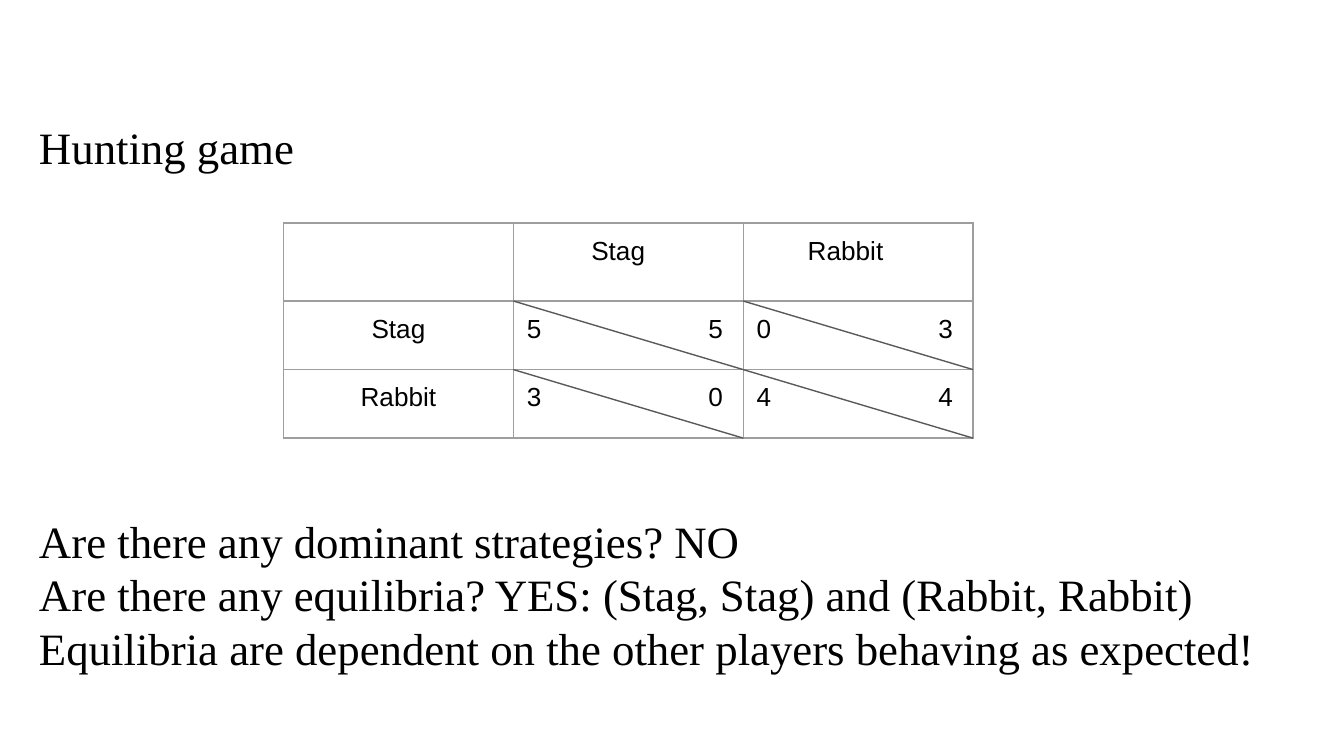
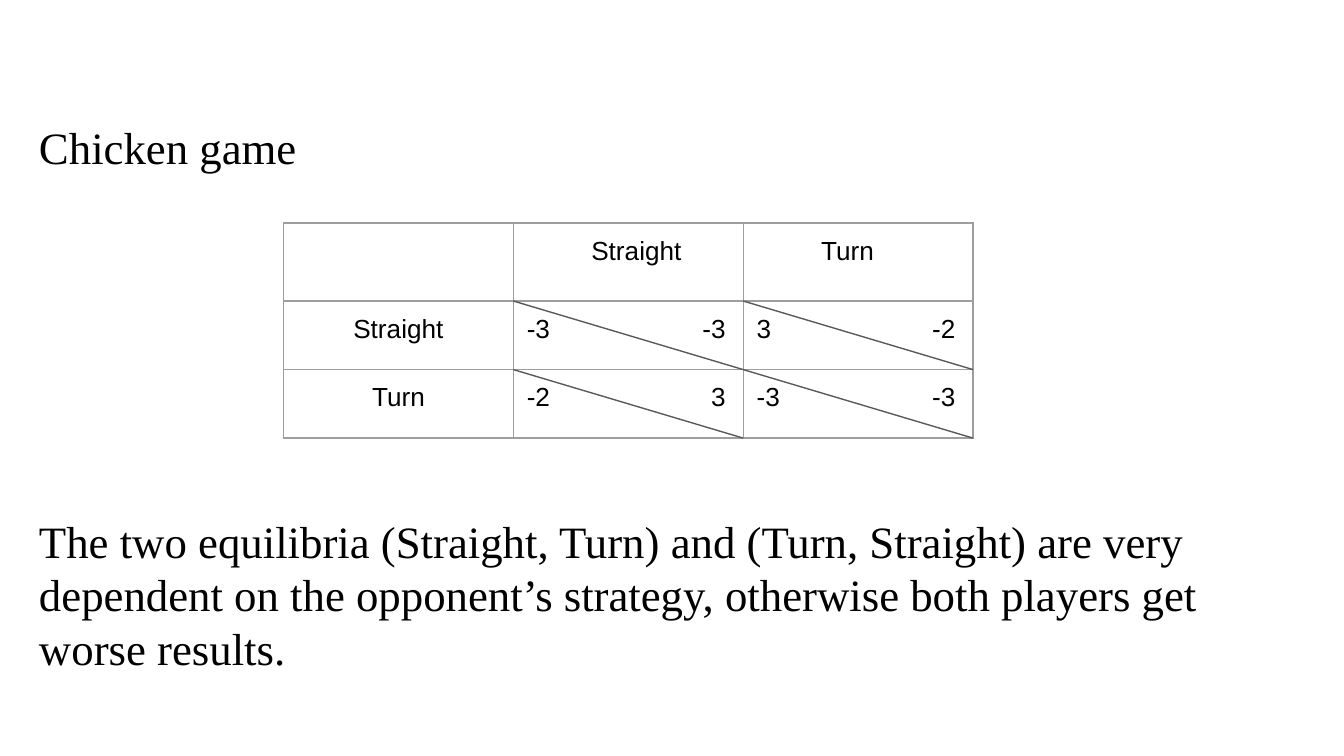
from dataclasses import dataclass

from lxml import etree
from pptx import Presentation
from pptx.dml.color import RGBColor
from pptx.enum.shapes import MSO_CONNECTOR
from pptx.enum.text import MSO_ANCHOR, MSO_AUTO_SIZE, PP_ALIGN
from pptx.oxml import parse_xml
from pptx.oxml.ns import nsdecls, qn
from pptx.util import Inches, Pt

LEFT, CENTER = PP_ALIGN.LEFT, PP_ALIGN.CENTER
TOP = MSO_ANCHOR.TOP
NO_AUTOFIT = MSO_AUTO_SIZE.NONE
STRAIGHT = MSO_CONNECTOR.STRAIGHT


@dataclass(frozen=True)
class Theme:
    """Colours, fonts and sizes shared by the slides."""
    ink: str = "000000"
    grid: str = "9E9E9E"
    diagonal: str = "595959"
    prose_font: str = "Times New Roman"
    table_font: str = "Arial"
    prose_size: float = 24
    table_size: float = 14
    rule: float = 0.75
    leading: float = 1.0
    inset: float = 0.1


THEME = Theme()
TITLE_BOX = (0.19, 0.79, 9.46, 0.6)
MATRIX_BOX = (2.11, 1.66, 5.13, 1.6)
NOTES_BOX = (0.19, 3.72, 9.46, 1.79)
HEADER_HEIGHT = 0.58

GAMES = [
    {
        "title": "Hunting game",
        "moves": ["Stag", "Rabbit"],
        "header_indents": [0.48, 0.38],
        "payoff_tab": 1.46,
        "payoffs": [[("5", "5"), ("0", "3")], [("3", "0"), ("4", "4")]],
        "notes": [
            "Are there any dominant strategies? NO",
            "Are there any equilibria? YES: (Stag, Stag) and (Rabbit, Rabbit)",
            "Equilibria are dependent on the other players behaving as expected!",
        ],
    },
    {
        "title": "Chicken game",
        "moves": ["Straight", "Turn"],
        "header_indents": [0.48, 0.48],
        "payoff_tab": 1.48,
        "payoffs": [[("-3", "-3"), ("3", "-2")], [("-2", "3"), ("-3", "-3")]],
        "notes": [
            "The two equilibria (Straight, Turn) and (Turn, Straight) are very "
            "dependent on the opponent’s strategy, otherwise both players get "
            "worse results.",
        ],
    },
]


def set_font(paragraph, family, size):
    """Give a paragraph its font, size and the ink colour."""
    paragraph.font.name = family
    paragraph.font.size = Pt(size)
    paragraph.font.color.rgb = RGBColor.from_string(THEME.ink)


def fill_prose(placeholder, box, lines):
    """Move a placeholder to the box and set its lines as plain prose."""
    placeholder.left, placeholder.top, placeholder.width, placeholder.height = map(Inches, box)
    frame = placeholder.text_frame
    frame.word_wrap = True
    frame.auto_size = NO_AUTOFIT
    frame.vertical_anchor = TOP
    frame.margin_left = frame.margin_right = Inches(THEME.inset)
    frame.margin_top = frame.margin_bottom = Inches(THEME.inset)
    frame.text = "\n".join(lines)
    for paragraph in frame.paragraphs:
        properties = paragraph._p.get_or_add_pPr()
        properties.set("marL", "0")
        properties.set("indent", "0")
        etree.SubElement(properties, qn("a:buNone"))
        paragraph.alignment = LEFT
        paragraph.space_before = Pt(0)
        paragraph.line_spacing = THEME.leading
        set_font(paragraph, THEME.prose_font, THEME.prose_size)


def style_cell(cell):
    """Clear a cell's fill, set its margins and draw its four borders."""
    cell.margin_left = cell.margin_right = Inches(THEME.inset)
    cell.margin_top = cell.margin_bottom = Inches(THEME.inset)
    cell.fill.background()
    properties = cell._tc.get_or_add_tcPr()
    for position, side in enumerate(("lnL", "lnR", "lnT", "lnB")):
        properties.insert(position, parse_xml(
            f'<a:{side} {nsdecls("a")} w="{Pt(THEME.rule)}"><a:solidFill>'
            f'<a:srgbClr val="{THEME.grid}"/></a:solidFill></a:{side}>'))


def write_cell(cell, text, alignment=LEFT, indent=0, tab=None):
    """Write one line in a cell, with an optional indent and right tab."""
    cell.text = text
    paragraph = cell.text_frame.paragraphs[0]
    paragraph.alignment = alignment
    properties = paragraph._p.get_or_add_pPr()
    properties.set("marL", str(Inches(indent)))
    if tab is not None:
        stops = etree.SubElement(properties, qn("a:tabLst"))
        etree.SubElement(stops, qn("a:tab"), pos=str(Inches(tab)), algn="r")
    set_font(paragraph, THEME.table_font, THEME.table_size)


def add_diagonal(slide, left, top, width, height):
    """Split a payoff cell from its top left to its bottom right corner."""
    diagonal = slide.shapes.add_connector(
        STRAIGHT, Inches(left), Inches(top), Inches(left + width), Inches(top + height))
    diagonal.line.color.rgb = RGBColor.from_string(THEME.diagonal)
    diagonal.line.width = Pt(THEME.rule)
    etree.SubElement(diagonal._element.spPr, qn("a:effectLst"))


def add_payoff_matrix(slide, box, game):
    """Draw the two-player payoff table with a diagonal in each payoff cell."""
    left, top, width, height = box
    moves = game["moves"]
    count = len(moves) + 1
    column_width = width / count
    row_height = (height - HEADER_HEIGHT) / len(moves)
    matrix = slide.shapes.add_table(count, count, *map(Inches, box)).table
    matrix.first_row = matrix.horz_banding = False
    for column in matrix.columns:
        column.width = Inches(column_width)
    for index, row in enumerate(matrix.rows):
        row.height = Inches(row_height if index else HEADER_HEIGHT)
    for cell in matrix.iter_cells():
        style_cell(cell)
    for index, (move, indent) in enumerate(zip(moves, game["header_indents"]), 1):
        write_cell(matrix.cell(0, index), move, indent=indent)
        write_cell(matrix.cell(index, 0), move, CENTER)
    for row, pairs in enumerate(game["payoffs"], 1):
        for column, pair in enumerate(pairs, 1):
            write_cell(matrix.cell(row, column), "\t".join(pair), tab=game["payoff_tab"])
            add_diagonal(slide, left + column * column_width,
                         top + HEADER_HEIGHT + (row - 1) * row_height,
                         column_width, row_height)


def add_game_slide(deck, game):
    """Add a slide with a game's title, payoff matrix and notes."""
    slide = deck.slides.add_slide(deck.slide_layouts[1])
    fill_prose(slide.shapes.title, TITLE_BOX, [game["title"]])
    fill_prose(slide.placeholders[1], NOTES_BOX, game["notes"])
    add_payoff_matrix(slide, MATRIX_BOX, game)


def main():
    """Build the deck and save it."""
    deck = Presentation()
    deck.slide_width = Inches(10)
    deck.slide_height = deck.slide_width * 9 // 16
    for game in GAMES:
        add_game_slide(deck, game)
    deck.save("out.pptx")


if __name__ == "__main__":
    main()
